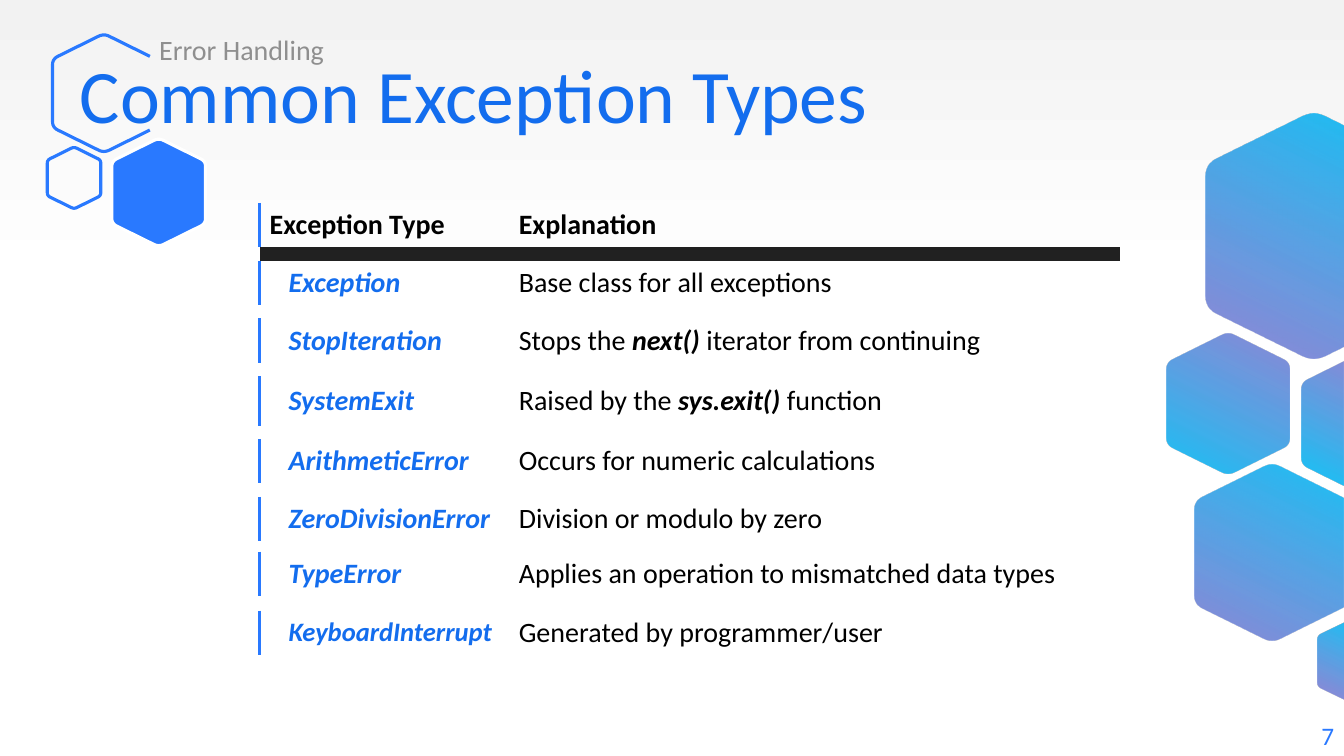
from math import cos, hypot, radians, sin

from lxml import etree
from pptx import Presentation
from pptx.dml.color import RGBColor
from pptx.enum.text import MSO_ANCHOR as Anchor, PP_ALIGN as Align
from pptx.oxml.ns import qn
from pptx.util import Pt

FONT = "Calibri"
BLUE = RGBColor(0x29, 0x79, 0xFF)
TITLE_BLUE = RGBColor(0x13, 0x6D, 0xEE)
GREY = RGBColor(0x8F, 0x8F, 0x8F)
PALE_GREY = RGBColor(0xF2, 0xF2, 0xF2)
BLACK = RGBColor(0x00, 0x00, 0x00)
WHITE = RGBColor(0xFF, 0xFF, 0xFF)
BAND = RGBColor(0x21, 0x21, 0x21)
CYAN = RGBColor(0x00, 0xB0, 0xF0)
PURPLE = RGBColor(0x7E, 0x57, 0xC2)

SLIDE_WIDTH, SLIDE_HEIGHT = 960, 540
CORNER_STEPS = 6
TILT = 26.6
NO_GRID_STYLE = "{2D5ABB26-0587-4C30-8999-92F81FD0307C}"

BACKGROUND_STOPS = [(0, PALE_GREY, 100), (37, WHITE, 100), (100, WHITE, 100)]
HEXAGON_STOPS = [(0, CYAN, 85), (20, CYAN, 85), (100, PURPLE, 75)]
DOWN, UP = 90, 270

# centre x, centre y, width, gradient angle
GRADIENT_HEXAGONS = [
    (877, 288, 88, UP),
    (973.4, 302.4, 88, UP),
    (908.6, 394.7, 111.2, DOWN),
    (968.4, 472, 54.7, DOWN),
    (937.9, 168.6, 154, DOWN),
]

TABLE_LEFT = 185.4
COLUMN_WIDTHS = (178, 436.5)
ROW_HEIGHT, TALL_ROW_HEIGHT = 31.6, 35.3
# name, explanation runs as (text, emphasised), row height, name size
BUILT_IN_ROWS = [
    ("Exception", [("Base class for all exceptions", False)], ROW_HEIGHT, 20),
    ("StopIteration", [("Stops the ", False), ("next() ", True),
                       ("iterator from continuing", False)], ROW_HEIGHT, 20),
    ("SystemExit", [("Raised by the ", False), ("sys.exit() ", True),
                    ("function", False)], TALL_ROW_HEIGHT, 20),
    ("ArithmeticError", [("Occurs for numeric calculations", False)], ROW_HEIGHT, 20),
    ("ZeroDivisionError", [("Division or modulo by zero", False)], ROW_HEIGHT, 20),
]
USAGE_ROWS = [
    ("TypeError", [("Applies an operation to mismatched data types", False)],
     ROW_HEIGHT, 20),
    ("KeyboardInterrupt", [("Generated by programmer/user", False)], ROW_HEIGHT, 19),
]


def paint_gradient(properties, stops, angle):
    """Replace the solid fill in a property element by a linear gradient."""
    gradient = etree.Element(qn("a:gradFill"), rotWithShape="1")
    stop_list = etree.SubElement(gradient, qn("a:gsLst"))
    for position, color, opacity in stops:
        stop = etree.SubElement(stop_list, qn("a:gs"), pos=str(position * 1000))
        value = etree.SubElement(stop, qn("a:srgbClr"), val=str(color))
        if opacity < 100:
            etree.SubElement(value, qn("a:alpha"), val=str(opacity * 1000))
    etree.SubElement(gradient, qn("a:lin"), ang=str(angle * 60000), scaled="0")
    properties.replace(properties.find(qn("a:solidFill")), gradient)


def hexagon_points(center_x, center_y, width):
    """Outline with rounded corners, counterclockwise from the upper right."""
    half, apex = width / 2, width * 0.58
    shoulder = apex - width * 0.247
    trim = width * 0.058
    corners = [(half, -shoulder), (0, -apex), (-half, -shoulder),
               (-half, shoulder), (0, apex), (half, shoulder)]
    points = []
    for index, (x, y) in enumerate(corners):
        ends = []
        for next_x, next_y in (corners[index - 1], corners[(index + 1) % 6]):
            share = trim / hypot(next_x - x, next_y - y)
            ends.append((x + (next_x - x) * share, y + (next_y - y) * share))
        (start_x, start_y), (end_x, end_y) = ends
        for step in range(CORNER_STEPS + 1):
            t = step / CORNER_STEPS
            a, b, c = (1 - t) ** 2, 2 * t * (1 - t), t ** 2
            points.append((center_x + a * start_x + b * x + c * end_x,
                           center_y + a * start_y + b * y + c * end_y))
    return points


def clip_to_slide(points):
    """Cut a closed outline at the right edge of the slide."""
    clipped = []
    for (x0, y0), (x1, y1) in zip(points[-1:] + points[:-1], points):
        if (x0 > SLIDE_WIDTH) != (x1 > SLIDE_WIDTH):
            share = (SLIDE_WIDTH - x0) / (x1 - x0)
            clipped.append((SLIDE_WIDTH, y0 + (y1 - y0) * share))
        if x1 <= SLIDE_WIDTH:
            clipped.append((x1, y1))
    return clipped


def turn(x, y, degrees):
    """Turn a point clockwise about the slide's top left corner."""
    angle = radians(degrees)
    return x * cos(angle) - y * sin(angle), x * sin(angle) + y * cos(angle)


def add_outline(slide, points, fill=None, line=None, closed=True):
    """Draw the points as a shape tilted by TILT, so its gradient tilts too."""
    points = [turn(Pt(x), Pt(y), -TILT) for x, y in points]
    builder = slide.shapes.build_freeform(*points[0])
    builder.add_line_segments(points[1:], close=closed)
    shape = builder.convert_to_shape()
    half_width, half_height = shape.width / 2, shape.height / 2
    center_x, center_y = turn(shape.left + half_width, shape.top + half_height, TILT)
    shape.left, shape.top = round(center_x - half_width), round(center_y - half_height)
    shape.rotation = TILT
    shape.shadow.inherit = False
    if fill is None:
        shape.fill.background()
    else:
        shape.fill.solid()
        shape.fill.fore_color.rgb = fill
    if line is None:
        shape.line.fill.background()
    else:
        shape.line.color.rgb = line
        shape.line.width = Pt(2.25)
    return shape


def add_run(paragraph, text, size, color, bold=False, italic=False):
    run = paragraph.add_run()
    run.text = text
    font = run.font
    font.name, font.size, font.bold, font.italic = FONT, Pt(size), bold, italic
    font.color.rgb = color


def add_text(slide, box, text, size, color, anchor=Anchor.TOP, align=Align.LEFT):
    frame = slide.shapes.add_textbox(*map(Pt, box)).text_frame
    frame.word_wrap = True
    frame.vertical_anchor = anchor
    frame.paragraphs[0].alignment = align
    add_run(frame.paragraphs[0], text, size, color)


def add_left_border(cell):
    line = etree.Element(qn("a:lnL"), w=str(Pt(3)))
    fill = etree.SubElement(line, qn("a:solidFill"))
    etree.SubElement(fill, qn("a:srgbClr"), val=str(BLUE))
    cell._tc.get_or_add_tcPr().insert(0, line)


def add_table(slide, top, heights):
    frame = slide.shapes.add_table(len(heights), 2, Pt(TABLE_LEFT), Pt(top),
                                   Pt(sum(COLUMN_WIDTHS)), Pt(sum(heights)))
    table = frame.table
    table.first_row = table.horz_banding = False
    table._tbl.tblPr.find(qn("a:tableStyleId")).text = NO_GRID_STYLE
    for column, width in zip(table.columns, COLUMN_WIDTHS):
        column.width = Pt(width)
    for row, height in zip(table.rows, heights):
        row.height = Pt(height)
    for cell in table.iter_cells():
        cell.fill.background()
        cell.vertical_anchor = Anchor.MIDDLE
    return table


def shrink_spacer(row):
    """Let an empty row be lower than a line of text."""
    for cell in row.cells:
        cell.margin_top = cell.margin_bottom = 0
        etree.SubElement(cell.text_frame.paragraphs[0]._p, qn("a:endParaRPr"), sz="100")


def fill_exception_row(row, name, explanation, name_size):
    name_cell, explanation_cell = row.cells
    add_left_border(name_cell)
    paragraph = name_cell.text_frame.paragraphs[0]
    paragraph._p.get_or_add_pPr().set("marL", str(Pt(13.5)))
    add_run(paragraph, name, name_size, TITLE_BLUE, bold=True, italic=True)
    for text, strong in explanation:
        add_run(explanation_cell.text_frame.paragraphs[0], text, 20, BLACK, strong, strong)


def add_exception_table(slide, top, entries, gap, header=()):
    """Alternate spacer and exception rows; a header gets a dark band below it."""
    heights = [ROW_HEIGHT] if header else []
    for entry in entries:
        heights += [gap, entry[2]]
    if not header:
        heights.append(gap)
    rows = list(add_table(slide, top, heights).rows)
    first_spacer = 1 if header else 0
    for row in rows[first_spacer::2]:
        shrink_spacer(row)
    for row, (name, explanation, _, size) in zip(rows[first_spacer + 1::2], entries):
        fill_exception_row(row, name, explanation, size)
    if header:
        add_left_border(rows[0].cells[0])
        for cell, band_cell, text in zip(rows[0].cells, rows[1].cells, header):
            add_run(cell.text_frame.paragraphs[0], text, 20, BLACK, bold=True)
            band_cell.fill.solid()
            band_cell.fill.fore_color.rgb = BAND


def main():
    presentation = Presentation()
    presentation.slide_width, presentation.slide_height = Pt(SLIDE_WIDTH), Pt(SLIDE_HEIGHT)
    slide = presentation.slides.add_slide(presentation.slide_layouts[6])
    slide.background.fill.solid()
    paint_gradient(next(slide._element.iter(qn("p:bgPr"))), BACKGROUND_STOPS, DOWN)
    open_outline = hexagon_points(74.2, 66.6, 73.4)[CORNER_STEPS:-CORNER_STEPS]
    add_outline(slide, open_outline, line=BLUE, closed=False)
    add_outline(slide, hexagon_points(52.9, 127.1, 38.2), line=BLUE)
    add_outline(slide, hexagon_points(113.4, 137.5, 67), fill=BLUE, line=WHITE)
    for center_x, center_y, width, angle in GRADIENT_HEXAGONS:
        points = clip_to_slide(hexagon_points(center_x, center_y, width))
        hexagon = add_outline(slide, points, fill=CYAN)
        paint_gradient(hexagon._element.spPr, HEXAGON_STOPS, angle)
    add_text(slide, (833.5, 511, 126.5, 29), "7", 18, BLUE, align=Align.RIGHT)
    add_text(slide, (49.9, 23.5, 826.5, 86.4), "Common Exception Types", 54, TITLE_BLUE,
             anchor=Anchor.MIDDLE)
    add_text(slide, (106.6, 19.4, 320.4, 26), "Error Handling", 20, GREY)
    add_exception_table(slide, 144.9, BUILT_IN_ROWS, 9.7, ("Exception Type", "Explanation"))
    add_exception_table(slide, 383.5, USAGE_ROWS, 10.6)
    presentation.save("out.pptx")


if __name__ == "__main__":
    main()
